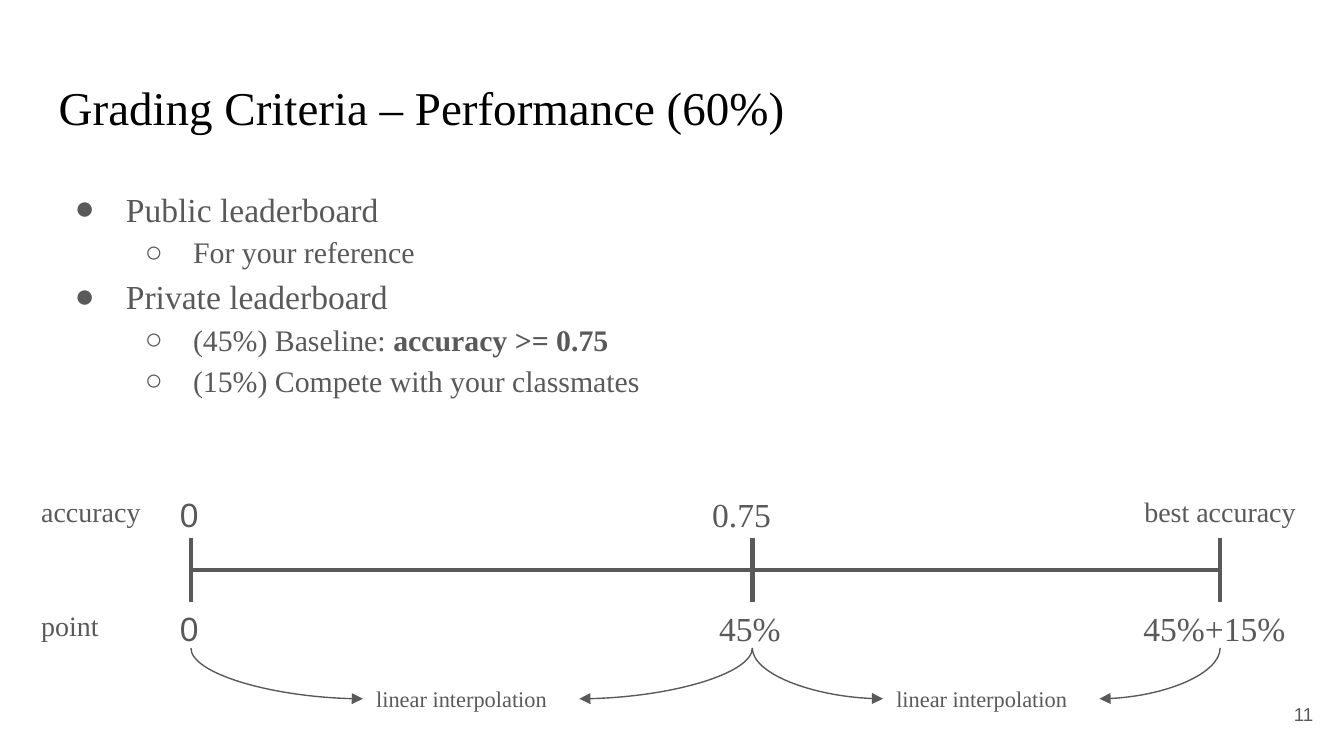
"""Builds the slide on how leaderboard performance is graded."""
from lxml import etree
from pptx import Presentation, util as u
from pptx.dml.color import RGBColor
from pptx.enum import shapes, text
from pptx.oxml.ns import qn

COLORS = {"title": "000000", "body": "595959"}
SERIF, SANS = "Times New Roman", "Arial"

TITLE = "Grading Criteria – Performance (60%)"
PAGE_NUMBER = "11"
CRITERIA = [
    (0, "Public leaderboard", ""),
    (1, "For your reference", ""),
    (0, "Private leaderboard", ""),
    (1, "(45%) Baseline: ", "accuracy >= 0.75"),
    (1, "(15%) Compete with your classmates", ""),
]
LEVELS = [("●", 18, 1.27, -0.97), ("○", 16, 2.54, -0.91)]

TICKS = [3.61, 14.22, 23.06]
AXIS_Y, TICK_HALF = 10.77, 0.61
ROWS = [
    (9.09, [
        ("accuracy", 0.53, 2.79, 15, SERIF, "LEFT"),
        ("0", 3.15, 0.91, 18, SANS, "LEFT"),
        ("0.75", 13.21, 2.01, 18, SERIF, "LEFT"),
        ("best accuracy", 20.7, 4.72, 15, SERIF, "CENTER"),
    ]),
    (11.25, [
        ("point", 0.53, 2.79, 15, SERIF, "LEFT"),
        ("0", 3.15, 0.91, 18, SANS, "LEFT"),
        ("45%", 13.34, 1.8, 18, SERIF, "LEFT"),
        ("45%+15%", 21.36, 3.45, 18, SERIF, "LEFT"),
    ]),
]
ROW_HEIGHT = 1
NOTE = "linear interpolation"
NOTE_LEFTS = [6.86, 16.69]
NOTE_TOP, NOTE_WIDTH, NOTE_HEIGHT = 12.7, 4.09, 1.02


def style(run, size, font=SERIF, color="body", bold=False):
    run.font.size = u.Pt(size)
    run.font.name = font
    run.font.bold = bold
    run.font.color.rgb = RGBColor.from_string(COLORS[color])


def add_frame(slide, left, top, width, height):
    frame = slide.shapes.add_textbox(*map(u.Cm, (left, top, width, height))).text_frame
    frame.word_wrap = True
    frame.margin_left = frame.margin_right = u.Cm(0.25)
    frame.margin_top = frame.margin_bottom = u.Cm(0.25)
    return frame


def add_label(slide, words, box, size, font=SERIF, align="LEFT", color="body"):
    frame = add_frame(slide, *box)
    frame.text = words
    label = frame.paragraphs[0]
    label.alignment = text.PP_ALIGN[align]
    style(label.runs[0], size, font, color)
    return frame


def add_line(slide, start, end, width, kind="STRAIGHT"):
    line = slide.shapes.add_connector(
        shapes.MSO_CONNECTOR[kind], *map(u.Cm, (*start, *end)))
    line.line.width = u.Pt(width)
    line.line.color.rgb = RGBColor.from_string(COLORS["body"])
    etree.SubElement(line._element.spPr, qn("a:effectLst"))
    return line


def add_curve(slide, note_side, tick_bottom):
    curve = add_line(slide, note_side, tick_bottom, 0.75, "CURVE")
    curve._element.spPr.find(qn("a:prstGeom")).set("prst", "curvedConnector2")
    etree.SubElement(curve.line._get_or_add_ln(), qn("a:headEnd"), type="triangle")


def add_criteria(slide):
    frame = add_frame(slide, 0.86, 3.2, 23.67, 9.5)
    for index, (level, plain, strong) in enumerate(CRITERIA):
        item = frame.add_paragraph() if index else frame.paragraphs[0]
        item.text = plain
        item.level = level
        item.line_spacing = 1.15
        bullet, size, margin, indent = LEVELS[level]
        style(item.runs[0], size)
        if strong:
            run = item.add_run()
            run.text = strong
            style(run, size, bold=True)
        props = item._p.get_or_add_pPr()
        props.set("marL", str(u.Cm(margin)))
        props.set("indent", str(u.Cm(indent)))
        bullet_color = etree.SubElement(props, qn("a:buClr"))
        etree.SubElement(bullet_color, qn("a:srgbClr"), val=COLORS["body"])
        etree.SubElement(props, qn("a:buFont"), typeface=SERIF)
        etree.SubElement(props, qn("a:buChar"), char=bullet)


def add_scale(slide):
    add_line(slide, (TICKS[0], AXIS_Y), (TICKS[-1], AXIS_Y), 2.25)
    for tick in TICKS:
        add_line(slide, (tick, AXIS_Y - TICK_HALF), (tick, AXIS_Y + TICK_HALF), 2.25)
    for top, labels in ROWS:
        for words, left, width, size, font, align in labels:
            add_label(slide, words, (left, top, width, ROW_HEIGHT), size, font, align)

    curve_top = ROWS[-1][0] + ROW_HEIGHT
    note_middle = NOTE_TOP + NOTE_HEIGHT / 2
    for left, start, end in zip(NOTE_LEFTS, TICKS, TICKS[1:]):
        add_label(slide, NOTE, (left, NOTE_TOP, NOTE_WIDTH, NOTE_HEIGHT), 12)
        add_curve(slide, (left, note_middle), (start, curve_top))
        add_curve(slide, (left + NOTE_WIDTH, note_middle), (end, curve_top))


def main():
    deck = Presentation()
    deck.slide_width, deck.slide_height = u.Cm(25.4), u.Cm(14.29)
    slide = deck.slides.add_slide(deck.slide_layouts[6])
    add_label(slide, TITLE, (0.86, 1.24, 23.67, 1.6), 25.2, color="title")
    add_criteria(slide)
    number = add_label(slide, PAGE_NUMBER, (23.55, 12.95, 1.52, 1.09), 10, SANS, "RIGHT")
    number.vertical_anchor = text.MSO_ANCHOR.MIDDLE
    add_scale(slide)
    deck.save("out.pptx")


if __name__ == "__main__":
    main()
